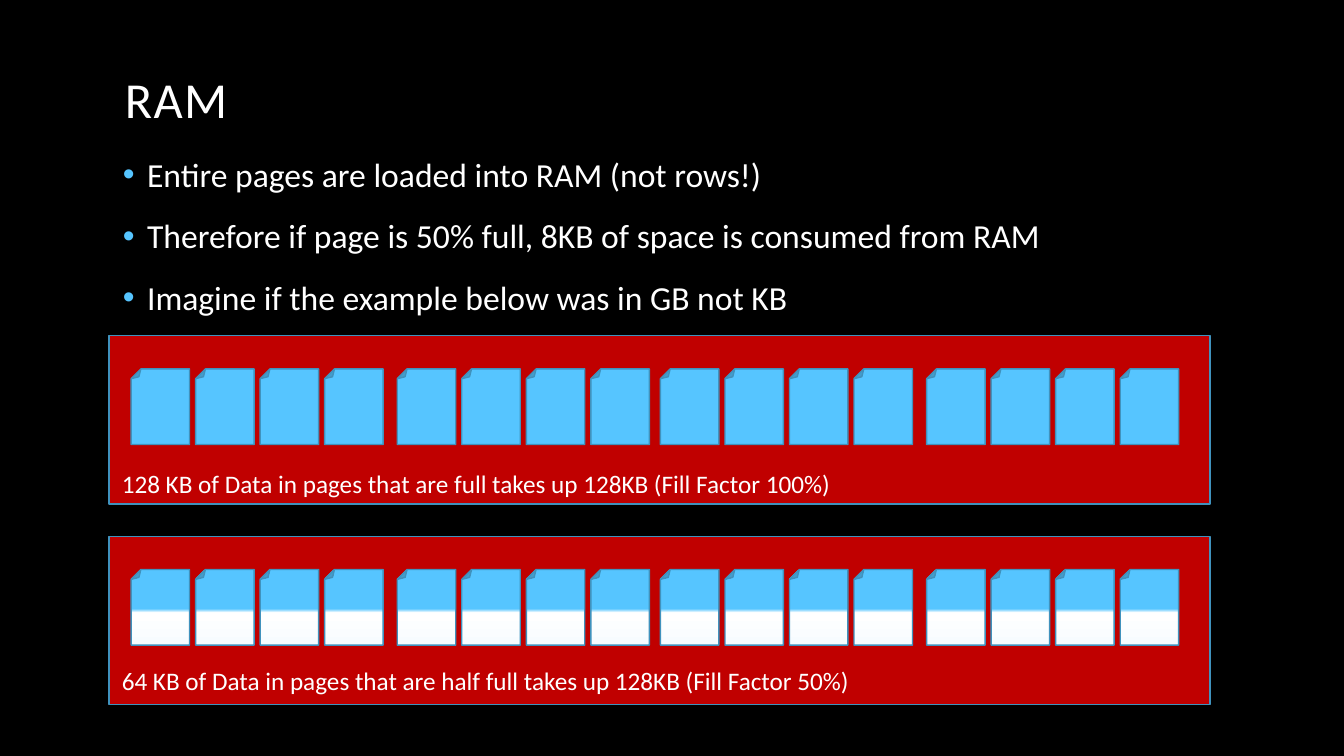
from lxml import etree
from pptx import Presentation
from pptx import util as u
from pptx.dml.color import RGBColor
from pptx.enum import shapes, text
from pptx.oxml.ns import qn

TITLE = "RAM"
POINTS = [
    "Entire pages are loaded into RAM (not rows!)",
    "Therefore if page is 50% full, 8KB of space is consumed from RAM",
    "Imagine if the example below was in GB not KB",
]
# panel top, caption box (left, top, width, height), caption, half-full sheets
PANELS = [
    (333, (111, 460, 747, 40),
     "128 KB of Data in pages that are full takes up 128KB (Fill Factor 100%)", False),
    (532, (111, 655, 763, 40),
     "64 KB of Data in pages that are half full takes up 128KB (Fill Factor 50%)", True),
]
COLORS = {"back": "000000", "text": "FFFFFF", "panel": "C00000",
          "sheet": "56C5FF", "edge": "4092BD", "pale": "F7FCFF"}
HALF_FULL = [(0, "pale"), (43, "text"), (48, "sheet"), (100, "sheet")]
FONT = "Calibri"

PX = 9144  # 100 px to the inch
PANEL_LEFT, PANEL_WIDTH, PANEL_HEIGHT = 108, 1092, 167
GROUP_LEFTS = [130, 394, 655, 919]
SHEETS_PER_GROUP, SHEET_PITCH = 4, 64
SHEET_WIDTH, SHEET_HEIGHT, SHEET_DROP = 58, 75, 33
INDENT = 24


def rgb(name):
    return RGBColor.from_string(COLORS[name])


def emu(*lengths):
    return [length * PX for length in lengths]


def add_text(page, place, lines, size, wrap=True):
    box = page.shapes.add_textbox(*emu(*place))
    frame = box.text_frame
    frame.word_wrap = wrap
    frame.text = "\n".join(lines)
    for para in frame.paragraphs:
        para.font.name = FONT
        para.font.size = u.Pt(size)
        para.font.color.rgb = rgb("text")
    return frame


def add_bullet(para):
    """Give the paragraph a coloured round bullet and a hanging indent."""
    props = para._p.get_or_add_pPr()
    props.set("marL", str(INDENT * PX))
    props.set("indent", str(-INDENT * PX))
    color = etree.Element(qn("a:buClr"))
    etree.SubElement(color, qn("a:srgbClr"), val=COLORS["sheet"])
    font = etree.Element(qn("a:buFont"), typeface="Arial")
    mark = etree.Element(qn("a:buChar"), char="•")
    for position, part in enumerate((color, font, mark)):
        props.insert(position, part)


def add_block(page, kind, place, fill):
    block = page.shapes.add_shape(kind, *emu(*place))
    block.shadow.inherit = False
    block.fill.solid()
    block.fill.fore_color.rgb = rgb(fill)
    block.line.color.rgb = rgb("edge")
    block.line.width = u.Pt(1)
    return block


def fill_half(sheet):
    """Colour one half of the sheet and leave the other white."""
    sheet.fill.gradient()
    sheet.fill.gradient_angle = 270
    stops = next(sheet._element.spPr.iter(qn("a:gsLst")))
    for stop in list(stops):
        stops.remove(stop)
    for percent, name in HALF_FULL:
        stop = etree.SubElement(stops, qn("a:gs"), pos=str(percent * 1000))
        etree.SubElement(stop, qn("a:srgbClr"), val=COLORS[name])


def add_panel(page, top, caption_place, caption, half_full):
    add_block(page, shapes.MSO_SHAPE.RECTANGLE,
              (PANEL_LEFT, top, PANEL_WIDTH, PANEL_HEIGHT), "panel")
    for group_left in GROUP_LEFTS:
        for number in range(SHEETS_PER_GROUP):
            place = (group_left + number * SHEET_PITCH, top + SHEET_DROP,
                     SHEET_WIDTH, SHEET_HEIGHT)
            sheet = add_block(page, shapes.MSO_SHAPE.FOLDED_CORNER, place, "sheet")
            sheet.rotation = 180
            if half_full:
                fill_half(sheet)
    frame = add_text(page, caption_place, [caption], 18, wrap=False)
    frame.auto_size = text.MSO_AUTO_SIZE.SHAPE_TO_FIT_TEXT


def main():
    deck = Presentation()
    deck.slide_width, deck.slide_height = emu(1333, 750)
    page = deck.slides.add_slide(deck.slide_layouts[6])
    page.background.fill.solid()
    page.background.fill.fore_color.rgb = rgb("back")

    title = add_text(page, (114, -17, 1000, 150), [TITLE], 36)
    title.vertical_anchor = text.MSO_ANCHOR.BOTTOM
    title.paragraphs[0].line_spacing = 0.9
    title.paragraphs[0].runs[0].font._element.set("spc", "100")

    body = add_text(page, (112, 152, 999, 450), POINTS, 24)
    for number, para in enumerate(body.paragraphs):
        add_bullet(para)
        para.line_spacing = 0.9
        if number:
            para.space_before = u.Pt(18)

    for panel in PANELS:
        add_panel(page, *panel)
    deck.save("out.pptx")


if __name__ == "__main__":
    main()
